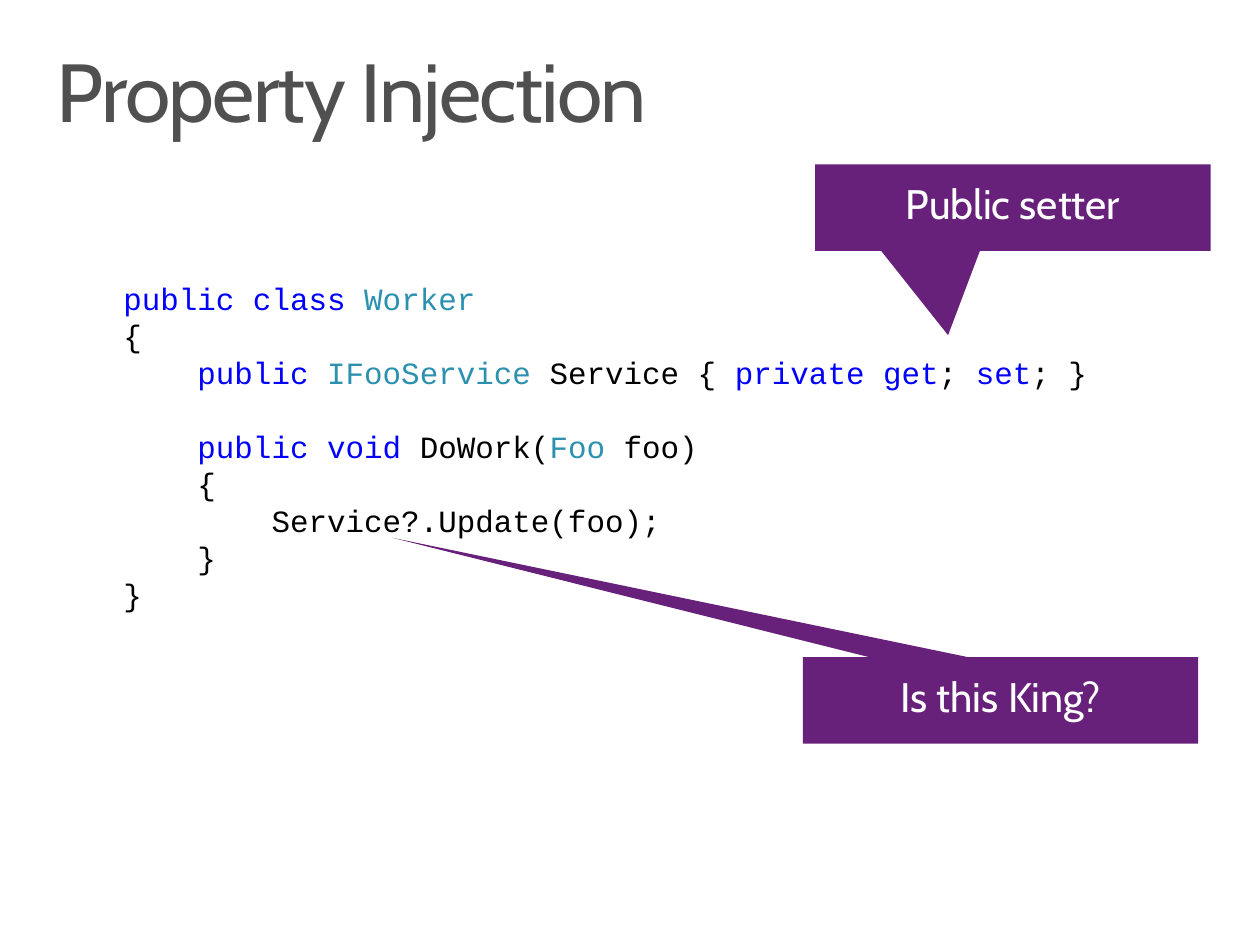
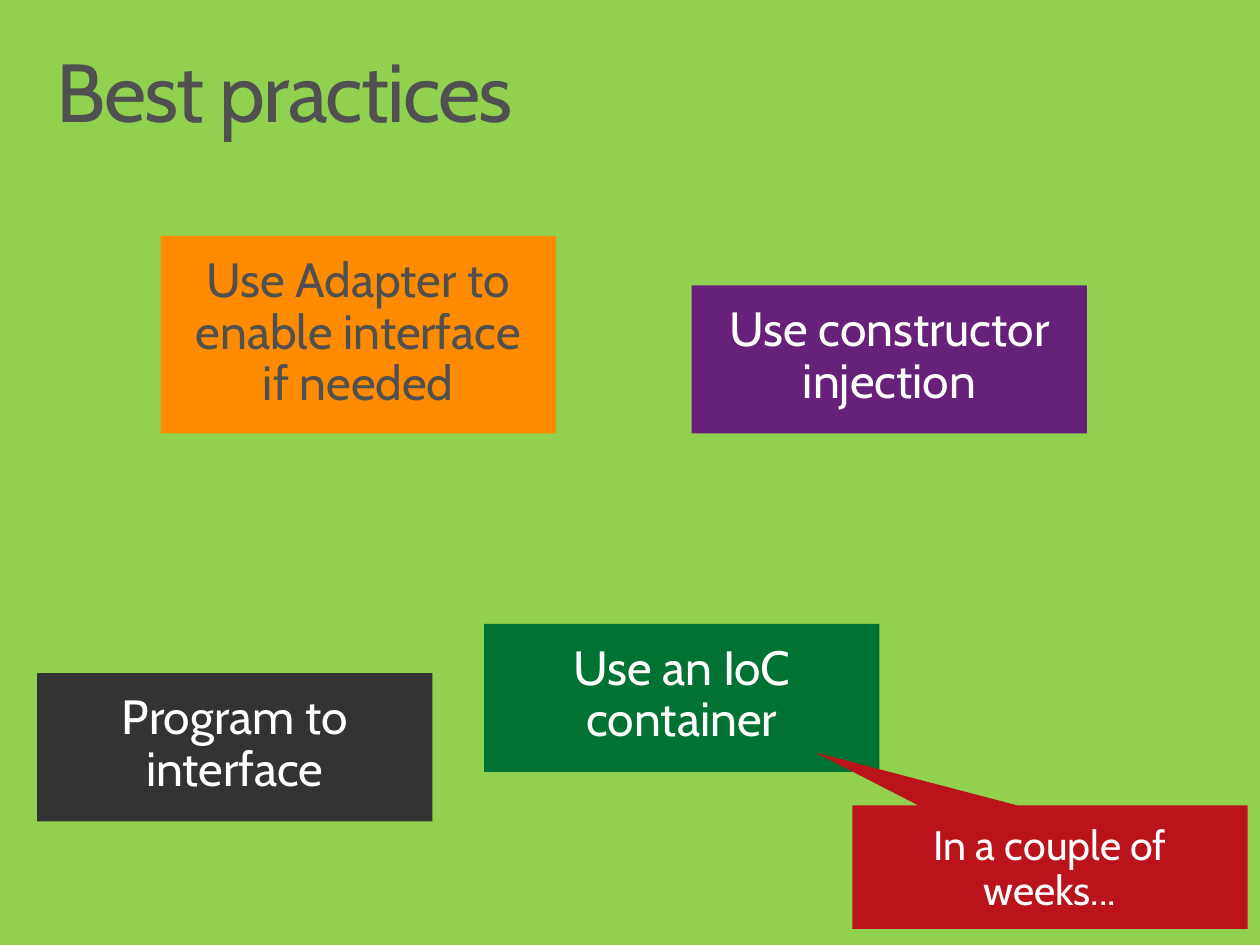
from pptx import Presentation
from pptx.dml.color import RGBColor
from pptx.enum.shapes import MSO_SHAPE
from pptx.enum.text import MSO_ANCHOR, PP_ALIGN
from pptx.util import Pt

WHITE = RGBColor(0xFF, 0xFF, 0xFF)
BLACK = RGBColor(0x00, 0x00, 0x00)
GREY = RGBColor(0x50, 0x50, 0x50)
DARK = RGBColor(0x33, 0x33, 0x33)
LIME = RGBColor(0x92, 0xD0, 0x50)
PURPLE = RGBColor(0x68, 0x21, 0x7A)
ORANGE = RGBColor(0xFF, 0x8C, 0x00)
GREEN = RGBColor(0x00, 0x72, 0x33)
RED = RGBColor(0xBA, 0x14, 0x1A)
KEY = RGBColor(0x00, 0x00, 0xFF)
TYPE = RGBColor(0x2B, 0x91, 0xAF)

SANS, MONO = "Cabin", "Courier New"
BOX_W = 230.4
CODE_SIZE, CODE_LINE = 18, 21.6
INDENT = 4 * 0.6 * CODE_SIZE  # four monospaced characters

# Code lines: indent level, blank lines before, coloured parts
CODE = [
    (0, 0, [("public class ", KEY), ("Worker", TYPE)]),
    (0, 0, [("{", BLACK)]),
    (1, 0, [("public ", KEY), ("IFooService", TYPE), (" Service { ", BLACK),
            ("private get", KEY), ("; ", BLACK), ("set", KEY), ("; }", BLACK)]),
    (1, 1, [("public void ", KEY), ("DoWork(", BLACK), ("Foo", TYPE),
            (" foo)", BLACK)]),
    (1, 0, [("{", BLACK)]),
    (2, 0, [("Service?.Update(foo);", BLACK)]),
    (1, 0, [("}", BLACK)]),
    (0, 0, [("}", BLACK)]),
]

# Boxes: text, left, top, height, fill, text colour, callout tip or None
SLIDES = [
    {"title": "Property Injection", "back": WHITE, "code": CODE, "boxes": [
        ("Public setter", 475.2, 95.8, 50.4, PURPLE, WHITE, (-0.164, 1.476)),
        ("Is this King?", 468, 383, 50.4, PURPLE, WHITE, (-1.539, -1.88)),
    ]},
    {"title": "Best practices", "back": LIME, "code": [], "boxes": [
        ("Use constructor injection", 403.2, 166.3, 86.4, PURPLE, WHITE, None),
        ("Use Adapter to enable interface if needed",
         93.6, 137.5, 115.2, ORANGE, GREY, None),
        ("Use an IoC container", 282.2, 363.6, 86.4, GREEN, WHITE, None),
        ("In a couple of weeks...", 496.8, 469.4, 72, RED, WHITE,
         (-0.594, -0.928)),
        ("Program to interface", 21.6, 392.4, 86.4, DARK, WHITE, None),
    ]},
]


def set_all(item, **values):
    for name, value in values.items():
        setattr(item, name, value)


def set_frame(frame, side, top, bottom):
    set_all(frame, word_wrap=True, vertical_anchor=MSO_ANCHOR.TOP,
            margin_left=Pt(side), margin_right=Pt(side),
            margin_top=Pt(top), margin_bottom=Pt(bottom))


def add_run(para, text, font, size, color):
    run = para.add_run()
    run.text = text
    set_all(run.font, name=font, size=Pt(size))
    run.font.color.rgb = color
    return run


def add_title(slide, text):
    box = slide.shapes.add_textbox(Pt(21.6), Pt(23), Pt(691.2), Pt(72))
    set_frame(box.text_frame, 11.5, 7.2, 7.2)
    para = box.text_frame.paragraphs[0]
    para.line_spacing = 0.9
    run = add_run(para, text, SANS, 48, GREY)
    run.font._element.set("spc", "-100")


def add_box(slide, text, left, top, height, fill, color, tip):
    kind = MSO_SHAPE.RECTANGULAR_CALLOUT if tip else MSO_SHAPE.RECTANGLE
    box = slide.shapes.add_shape(kind, Pt(left), Pt(top), Pt(BOX_W), Pt(height))
    for index, value in enumerate(tip or ()):
        box.adjustments[index] = value
    box.shadow.inherit = False
    box.fill.solid()
    box.fill.fore_color.rgb = fill
    box.line.fill.background()
    set_frame(box.text_frame, 14.4, 11.5, 11.5)
    para = box.text_frame.paragraphs[0]
    set_all(para, alignment=PP_ALIGN.CENTER, line_spacing=0.9)
    add_run(para, text, SANS, 24 if tip else 28, color)


def add_code(slide, lines):
    box = slide.shapes.add_textbox(Pt(64.8), Pt(158.4), Pt(604.8), Pt(203.8))
    frame = box.text_frame
    set_frame(frame, 7.2, 4.6, 3.6)
    for index, (level, gap, parts) in enumerate(lines):
        para = frame.add_paragraph() if index else frame.paragraphs[0]
        set_all(para, line_spacing=Pt(CODE_LINE),
                space_before=Pt(gap * CODE_LINE))
        para._p.get_or_add_pPr().set("marL", str(Pt(level * INDENT)))
        for text, color in parts:
            add_run(para, text, MONO, CODE_SIZE, color)


def main():
    deck = Presentation()
    set_all(deck, slide_width=Pt(734.4), slide_height=Pt(550.8))
    for page in SLIDES:
        slide = deck.slides.add_slide(deck.slide_layouts[6])
        slide.background.fill.solid()
        slide.background.fill.fore_color.rgb = page["back"]
        add_title(slide, page["title"])
        if page["code"]:
            add_code(slide, page["code"])
        for box in page["boxes"]:
            add_box(slide, *box)
    deck.save("out.pptx")


if __name__ == "__main__":
    main()
